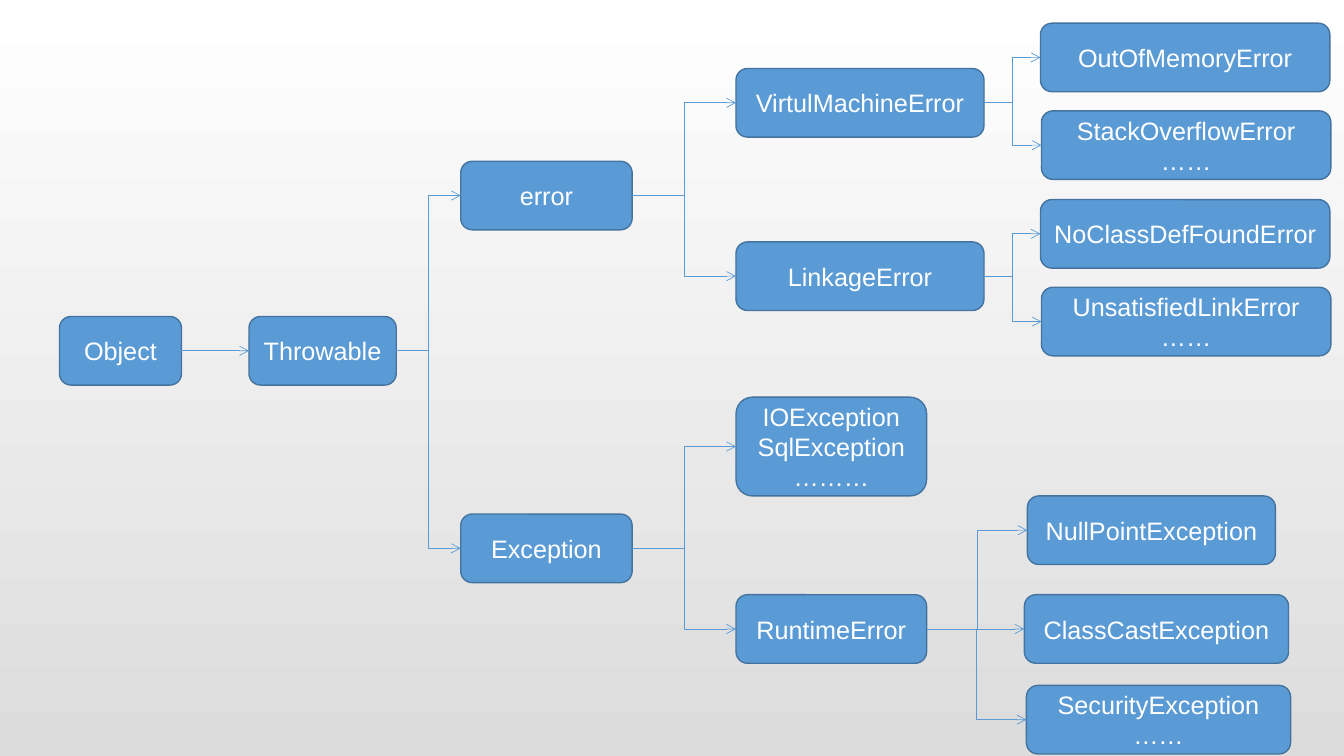
from pptx import Presentation
from pptx.dml.color import RGBColor
from pptx.enum.shapes import MSO_CONNECTOR, MSO_SHAPE
from pptx.enum.text import MSO_ANCHOR, PP_ALIGN
from pptx.oxml.ns import qn
from pptx.util import Inches, Pt
from lxml import etree

ROUND = MSO_SHAPE.ROUNDED_RECTANGLE
ELBOW, STRAIGHT = MSO_CONNECTOR.ELBOW, MSO_CONNECTOR.STRAIGHT
MIDDLE, CENTER = MSO_ANCHOR.MIDDLE, PP_ALIGN.CENTER
LEFT, RIGHT = 1, 3  # connection sites of a box
HIGH = 0.68
DOTS = "……"


def paint(part, color):
    part.rgb = RGBColor.from_string(color)


deck = Presentation()
deck.slide_width, deck.slide_height = Inches(13.33), Inches(7.5)
slide = deck.slides.add_slide(deck.slide_layouts[6])

# Background: white at the top to grey at the bottom
back = slide.background.fill
back.gradient()
back.gradient_angle = 270
for stop, color, place in zip(back.gradient_stops, ("FFFFFF", "DCDCDC"), (0, 1)):
    paint(stop.color, color)
    stop.position = place

# Columns: left edge and width, then each box by its top and lines
tree = [
    (0.59, 1.21, [(3.14, ["Object"])]),
    (2.47, 1.46, [(3.14, ["Throwable"])]),
    (4.57, 1.7, [(1.6, ["error"]), (5.1, ["Exception"])]),
    (7.3, 2.46, [(0.68, ["VirtulMachineError"]), (2.4, ["LinkageError"])]),
    (7.3, 1.89, [(3.94, ["IOException", "SqlException", "………"]),
                 (5.9, ["RuntimeError"])]),
    (10.32, 2.87, [(0.23, ["OutOfMemoryError"]), (1.98, ["NoClassDefFoundError"])]),
    (10.33, 2.87, [(1.1, ["StackOverflowError", DOTS]),
                   (2.85, ["UnsatisfiedLinkError", DOTS])]),
    (10.19, 2.46, [(4.92, ["NullPointException"])]),
    (10.16, 2.62, [(5.9, ["ClassCastException"])]),
    (10.18, 2.62, [(6.8, ["SecurityException", DOTS])]),
]

# Class boxes
boxes = {}
for left, wide, column in tree:
    for top, lines in column:
        high = HIGH + 0.3 * max(0, len(lines) - 2)
        box = slide.shapes.add_shape(
            ROUND, Inches(left), Inches(top), Inches(wide), Inches(high))
        boxes[lines[0]] = box
        box.shadow.inherit = False
        box.fill.solid()
        paint(box.fill.fore_color, "5B9BD5")
        paint(box.line.color, "43739E")
        box.line.width = Pt(1)
        frame = box.text_frame
        frame.word_wrap = True
        frame.vertical_anchor = MIDDLE
        frame.margin_left = frame.margin_right = Inches(0.05)
        for n, line in enumerate(lines):
            para = frame.add_paragraph() if n else frame.paragraphs[0]
            para.alignment = CENTER
            run = para.add_run()
            run.text = line
            run.font.name, run.font.size = "Arial", Pt(18)
            paint(run.font.color, "FFFFFF")

# Arrows from each class to its children
heirs = {
    "Object": ["Throwable"],
    "Throwable": ["error", "Exception"],
    "error": ["VirtulMachineError", "LinkageError"],
    "Exception": ["IOException", "RuntimeError"],
    "VirtulMachineError": ["OutOfMemoryError", "StackOverflowError"],
    "LinkageError": ["NoClassDefFoundError", "UnsatisfiedLinkError"],
    "RuntimeError": ["NullPointException", "SecurityException", "ClassCastException"],
}
for base, kids in heirs.items():
    for kid in kids:
        start, end = boxes[base], boxes[kid]
        kind = STRAIGHT if start.top == end.top else ELBOW
        arrow = slide.shapes.add_connector(kind, 0, 0, 0, 0)
        arrow.begin_connect(start, RIGHT)
        arrow.end_connect(end, LEFT)
        paint(arrow.line.color, "5B9BD5")
        arrow.line.width = Pt(0.5)
        props = arrow.element.spPr
        etree.SubElement(props.find(qn("a:ln")), qn("a:tailEnd"), type="arrow")
        etree.SubElement(props, qn("a:effectLst"))

deck.save("out.pptx")
